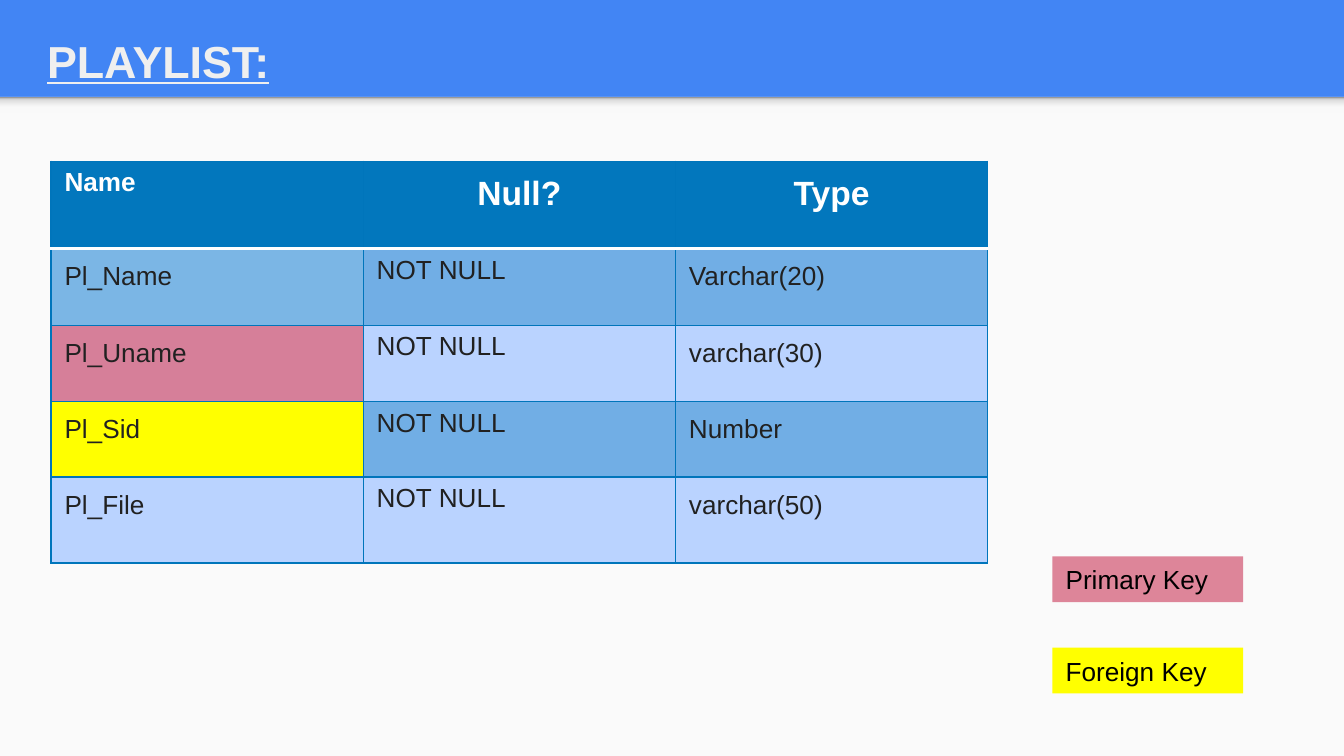
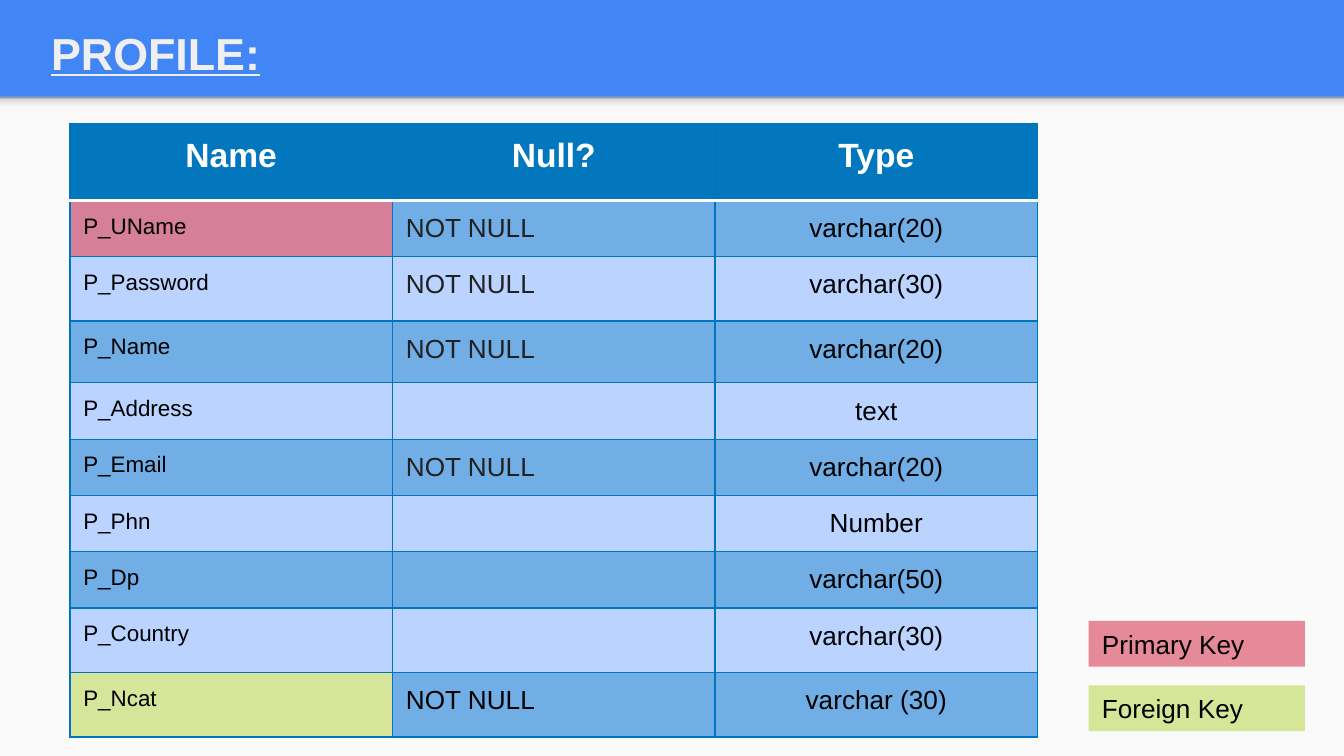
from lxml.etree import SubElement
from pptx import Presentation
from pptx.dml.color import RGBColor
from pptx.enum.shapes import MSO_SHAPE
from pptx.enum.text import MSO_ANCHOR, MSO_AUTO_SIZE, PP_ALIGN
from pptx.oxml.ns import qn
from pptx.util import Inches, Pt

HEADER, GRID, WHITE, BLACK, INK = "0277BD", "0075BB", "FFFFFF", "000000", "212121"
LIGHT, MEDIUM, PALE, ROSE = "BAD3FF", "71AEE5", "7BB6E5", "D67F99"
YELLOW, LIME, BLUE, PAPER = "FFFF00", "D6E599", "4285F4", "FAFAFA"


def paint(color_format, color):
    """Give a fill or font colour object a hex colour."""
    color_format.rgb = RGBColor.from_string(color)


def write(text_frame, text, size, color, align=PP_ALIGN.LEFT, **styles):
    """Put one formatted paragraph in a text frame."""
    paragraph = text_frame.paragraphs[0]
    paragraph.alignment = align
    paragraph.text = text
    styles.update(name="Arial", size=Pt(size))
    for font in (paragraph.font, *(run.font for run in paragraph.runs)):
        for attribute, value in styles.items():
            setattr(font, attribute, value)
        paint(font.color, color)


# Text formats of table columns; "margin" is the top and bottom cell margin
centered_head = dict(size=18, color=WHITE, bold=True, align=PP_ALIGN.CENTER, margin=0.1)
small_head = dict(size=14, color=WHITE, bold=True, margin=0.05)
ink_cell = dict(size=14, color=INK, bold=False, margin=0.1)
tight_cell = {**ink_cell, "margin": 0.05}
small_cell = dict(size=12, color=BLACK, bold=False, margin=0.1)
center_cell = dict(size=14, color=BLACK, bold=False, align=PP_ALIGN.CENTER, margin=0.1)

REQUIRED = "NOT NULL"
pages = [
    dict(
        title="PLAYLIST:", title_box=(0.25, 0.15, 3.46, 0.41),
        table_box=(0.38, 1.2, 6.97, 2.99), heights=[0.65, 0.57, 0.57, 0.56, 0.64],
        rows=[
            ("Pl_Name", REQUIRED, "Varchar(20)"),
            ("Pl_Uname", REQUIRED, "varchar(30)"),
            ("Pl_Sid", REQUIRED, "Number"),
            ("Pl_File", REQUIRED, "varchar(50)"),
        ],
        head_formats=[small_head, centered_head, centered_head],
        cell_formats=[ink_cell, tight_cell, ink_cell],
        name_fills={1: PALE, 2: ROSE, 3: YELLOW}, black_row=None,
        legend_box=(7.83, 4.14, 1.42, 0.34), legend_step=0.68,
        legend_fills=("DD8599", YELLOW),
    ),
    dict(
        title="PROFILE:", title_box=(0.28, 0.09, 2.36, 0.57),
        table_box=(0.52, 0.92, 7.2, 4.54),
        heights=[0.57, 0.41, 0.48, 0.46, 0.41, 0.41, 0.41, 0.41, 0.48, 0.48],
        rows=[
            ("P_UName", REQUIRED, "varchar(20)"),
            ("P_Password", REQUIRED, "varchar(30)"),
            ("P_Name", REQUIRED, "varchar(20)"),
            ("P_Address", "", "text"),
            ("P_Email", REQUIRED, "varchar(20)"),
            ("P_Phn", "", "Number"),
            ("P_Dp", "", "varchar(50)"),
            ("P_Country", "", "varchar(30)"),
            ("P_Ncat", REQUIRED, "varchar (30)"),
        ],
        head_formats=[centered_head] * 3,
        cell_formats=[small_cell, ink_cell, center_cell],
        name_fills={1: ROSE, 9: LIME}, black_row=9,
        legend_box=(8.1, 4.62, 1.61, 0.34), legend_step=0.48,
        legend_fills=("E68A99", "D5E699"),
    ),
]

presentation = Presentation()
presentation.slide_width = Inches(10)
presentation.slide_height = Inches(10) * 9 // 16
layout = presentation.slide_layouts[5]
background = presentation.slide_master.background.fill
background.solid()
paint(background.fore_color, BLUE)

for number, page in enumerate(pages):
    slide = presentation.slides.add_slide(layout)

    # The light panel and the shadow under the band belong to the layout
    if number == 0:
        band_height = Inches(0.72)
        for index, height in enumerate(
                (presentation.slide_height - band_height, Inches(0.12))):
            shape = slide.shapes.add_shape(
                MSO_SHAPE.RECTANGLE, 0, band_height, presentation.slide_width, height)
            shape.shadow.inherit = False
            shape.line.fill.background()
            if index == 0:
                shape.fill.solid()
                paint(shape.fill.fore_color, PAPER)
            else:
                shape.fill.gradient()
                shape.fill.gradient_angle = 90
                stop_list = next(shape.element.iter(qn("a:gsLst")))
                for stop in list(stop_list):
                    stop_list.remove(stop)
                for position, color in ((0, "F9F9F9"), (36, "F9F9F9"),
                                        (80, "DEDEDE"), (100, "999999")):
                    stop = SubElement(stop_list, qn("a:gs"), pos=str(position * 1000))
                    SubElement(stop, qn("a:srgbClr"), val=color)
            next(shape.element.iter(qn("p:cNvPr"))).set("id", str(100 + index))
            layout.shapes.element.insert(2 + index, shape.element)

    # Title
    title = slide.shapes.title
    title.left, title.top, title.width, title.height = map(Inches, page["title_box"])
    frame = title.text_frame
    frame_format = dict(word_wrap=True, auto_size=MSO_AUTO_SIZE.NONE,
                        vertical_anchor=MSO_ANCHOR.TOP)
    for side in ("left", "right", "top", "bottom"):
        frame_format[f"margin_{side}"] = Inches(0.1)
    for attribute, value in frame_format.items():
        setattr(frame, attribute, value)
    write(frame, page["title"], 24, "EFEFEF", bold=True, underline=True)

    # Table of fields
    rows = [("Name", "Null?", "Type"), *page["rows"]]
    table = slide.shapes.add_table(len(rows), 3, *map(Inches, page["table_box"])).table
    for row, height in zip(table.rows, page["heights"]):
        row.height = Inches(height)
    for row_index, row in enumerate(rows):
        formats = page["cell_formats"] if row_index else page["head_formats"]
        for column_index, text in enumerate(row):
            cell = table.cell(row_index, column_index)
            text_format = dict(formats[column_index])
            margin = Inches(text_format.pop("margin"))
            cell.margin_top = cell.margin_bottom = margin
            cell.margin_left = cell.margin_right = Inches(0.1)
            if row_index == page["black_row"]:
                text_format["color"] = BLACK
            write(cell.text_frame, text, **text_format)

            # Borders come before the fill in the cell properties
            properties = cell._tc.get_or_add_tcPr()
            for side in "LRTB":
                under_head = (row_index, side) in ((0, "B"), (1, "T"))
                width = Pt(2 if under_head else 0.75)
                border = SubElement(properties, qn(f"a:ln{side}"), w=str(width))
                border_fill = SubElement(border, qn("a:solidFill"))
                SubElement(border_fill, qn("a:srgbClr"), val=WHITE if under_head else GRID)
            fill = MEDIUM if row_index % 2 else LIGHT
            if row_index == 0:
                fill = HEADER
            elif column_index == 0:
                fill = page["name_fills"].get(row_index, fill)
            cell.fill.solid()
            paint(cell.fill.fore_color, fill)

    # Legend of key colours
    left, top, width, height = page["legend_box"]
    for index, text in enumerate(("Primary Key", "Foreign Key")):
        key = slide.shapes.add_shape(
            MSO_SHAPE.RECTANGLE, Inches(left), Inches(top + index * page["legend_step"]),
            Inches(width), Inches(height))
        key.shadow.inherit = False
        key.line.fill.background()
        key.fill.solid()
        paint(key.fill.fore_color, page["legend_fills"][index])
        key.text_frame.word_wrap = True
        write(key.text_frame, text, 14, BLACK)

presentation.save("out.pptx")
